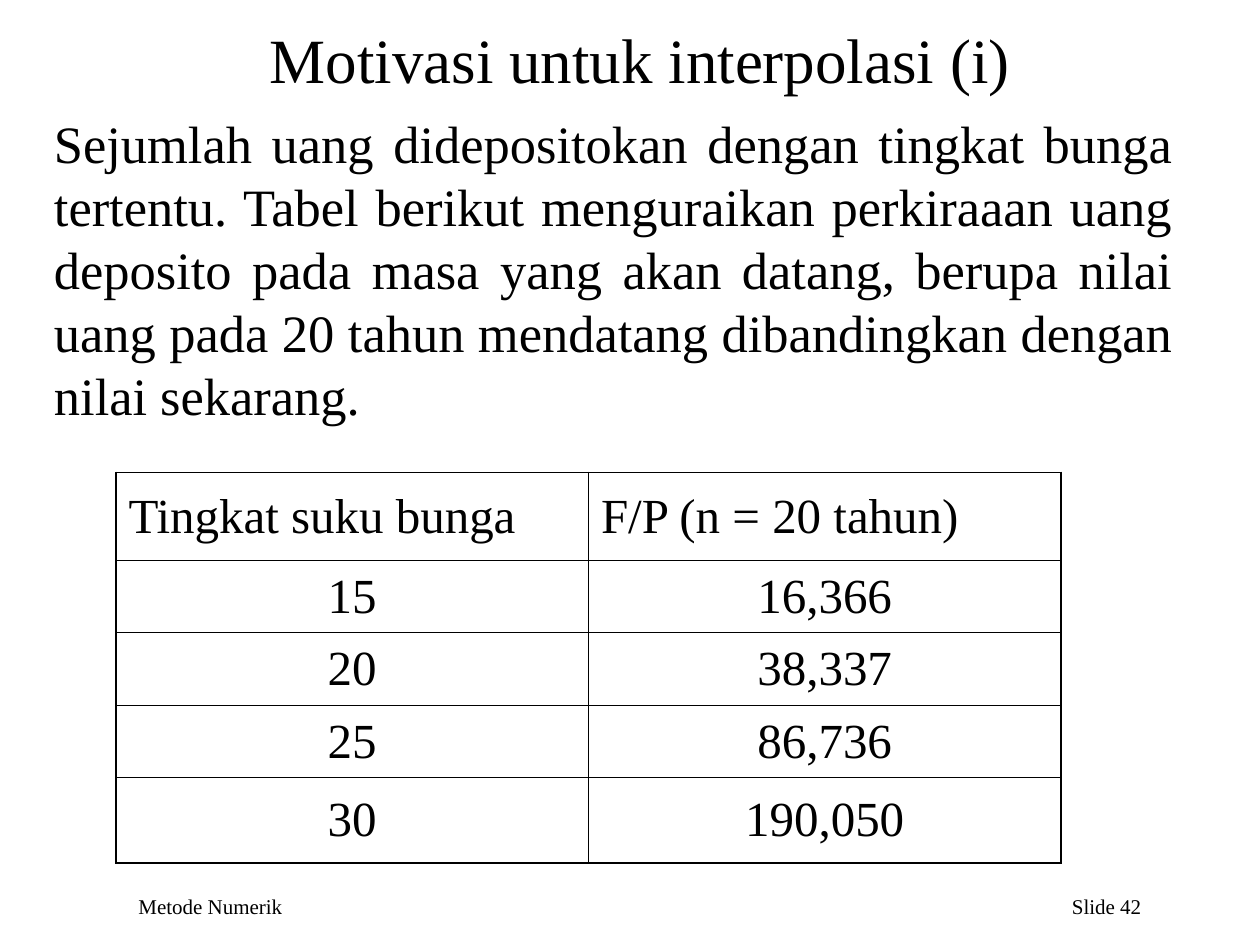
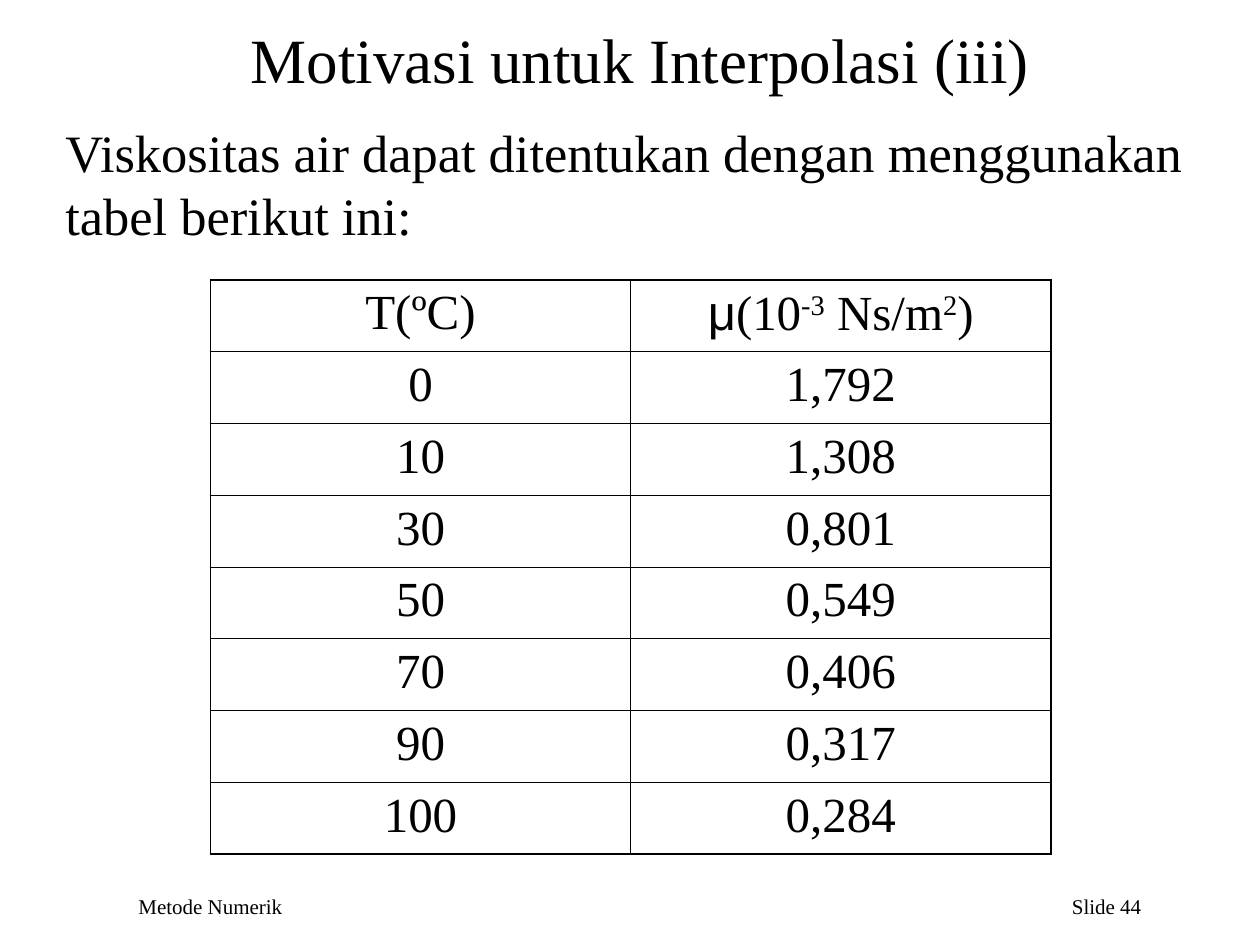
import pptx
import pptx.dml.color
import pptx.enum.text
import pptx.oxml.ns
import pptx.util
from lxml import etree

Inches = pptx.util.Inches
Pt = pptx.util.Pt
ALIGN = pptx.enum.text.PP_ALIGN
ANCHOR = pptx.enum.text.MSO_ANCHOR
qn = pptx.oxml.ns.qn

INK = "000000"
PAPER = "FFFFFF"
SERIF = "Times New Roman"
SANS = "Arial"
OUTER_LINE = 1.08
INNER_LINE = 0.45


def color(value):
    return pptx.dml.color.RGBColor.from_string(value)


def write(tf, text, size=28, font=SERIF, fill=INK, align=ALIGN.LEFT, right_tab=None):
    p = tf.paragraphs[0]
    p.alignment = align
    if right_tab is not None:
        tabs = etree.SubElement(p._p.get_or_add_pPr(), qn("a:tabLst"))
        etree.SubElement(tabs, qn("a:tab"), pos=str(Inches(right_tab)), algn="r")
    parts = [(text, {})] if isinstance(text, str) else text
    for part, style in parts:
        r = p.add_run()
        r.text = part
        r.font.size = Pt(size)
        r.font.name = style.get("font", font)
        r.font.color.rgb = color(fill)
        if style.get("raised"):
            r._r.get_or_add_rPr().set("baseline", "30000")


def add_text(s, box, text, anchor=ANCHOR.TOP, **style):
    sp = s.shapes.add_textbox(*map(Inches, box))
    tf = sp.text_frame
    tf.word_wrap = True
    tf.vertical_anchor = anchor
    write(tf, text, **style)


def set_border(cell, side, width):
    ln = etree.SubElement(cell._tc.get_or_add_tcPr(), qn(f"a:ln{side}"), w=str(Pt(width)))
    fill = etree.SubElement(ln, qn("a:solidFill"))
    etree.SubElement(fill, qn("a:srgbClr"), val=INK)


def add_value_table(s, box, rows, heights, header_align=ALIGN.CENTER, anchor=ANCHOR.TOP):
    n_rows, n_cols = len(rows), len(rows[0])
    table = s.shapes.add_table(n_rows, n_cols, *map(Inches, box)).table
    for col in table.columns:
        col.width = Inches(box[2] / n_cols)
    for i, (values, height) in enumerate(zip(rows, heights)):
        table.rows[i].height = Inches(height)
        for j, value in enumerate(values):
            cell = table.cell(i, j)
            edges = {"L": j == 0, "R": j == n_cols - 1, "T": i == 0, "B": i == n_rows - 1}
            for side, is_outer in edges.items():
                set_border(cell, side, OUTER_LINE if is_outer else INNER_LINE)
            cell.fill.background()
            cell.margin_left = cell.margin_right = Inches(0.1)
            cell.margin_top = cell.margin_bottom = Inches(0.05)
            cell.vertical_anchor = anchor
            write(cell.text_frame, value, align=header_align if i == 0 else ALIGN.CENTER)


def add_base(prs, title, number):
    s = prs.slides.add_slide(prs.slide_layouts[6])
    s.background.fill.solid()
    s.background.fill.fore_color.rgb = color(PAPER)
    add_text(s, (1, 7.04, 8.25, 0.3), f"Metode Numerik\tSlide {number}", size=12, right_tab=7.96)
    add_text(s, (0.83, 0.17, 8.5, 0.58), title, anchor=ANCHOR.MIDDLE, size=36, align=ALIGN.CENTER)
    return s


def add_deposit_slide(prs):
    s = add_base(prs, "Motivasi untuk interpolasi (i)", 42)
    rows = [
        ("Tingkat suku bunga", "F/P (n = 20 tahun)"),
        ("15", "16,366"),
        ("20", "38,337"),
        ("25", "86,736"),
        ("30", "190,050"),
    ]
    add_value_table(s, (0.92, 3.75, 7.5, 3.1), rows, (0.7, 0.57, 0.58, 0.57, 0.68),
                    header_align=ALIGN.LEFT, anchor=ANCHOR.MIDDLE)
    add_text(s, (0.33, 0.83, 9.08, 2.6),
             "Sejumlah uang didepositokan dengan tingkat bunga tertentu. "
             "Tabel berikut menguraikan perkiraaan uang deposito pada masa yang akan datang, "
             "berupa nilai uang pada 20 tahun mendatang dibandingkan dengan nilai sekarang.",
             size=30, align=ALIGN.JUSTIFY)


def add_viscosity_slide(prs):
    s = add_base(prs, "Motivasi untuk Interpolasi (iii)", 44)
    unit = [("μ", {"font": SANS}), ("(10", {}), ("-3", {"raised": True}),
            (" Ns/m", {}), ("2", {"raised": True}), (")", {})]
    rows = [
        ("T(ºC)", unit),
        ("0", "1,792"),
        ("10", "1,308"),
        ("30", "0,801"),
        ("50", "0,549"),
        ("70", "0,406"),
        ("90", "0,317"),
        ("100", "0,284"),
    ]
    add_value_table(s, (1.67, 2.22, 6.67, 4.56), rows, [0.57] * len(rows))
    add_text(s, (0.42, 0.9, 9.08, 1.1),
             "Viskositas air dapat ditentukan dengan menggunakan tabel berikut ini:", size=30)


def main():
    prs = pptx.Presentation()
    prs.slide_width = Inches(10)
    prs.slide_height = Inches(7.5)
    add_deposit_slide(prs)
    add_viscosity_slide(prs)
    prs.save("out.pptx")


if __name__ == "__main__":
    main()
